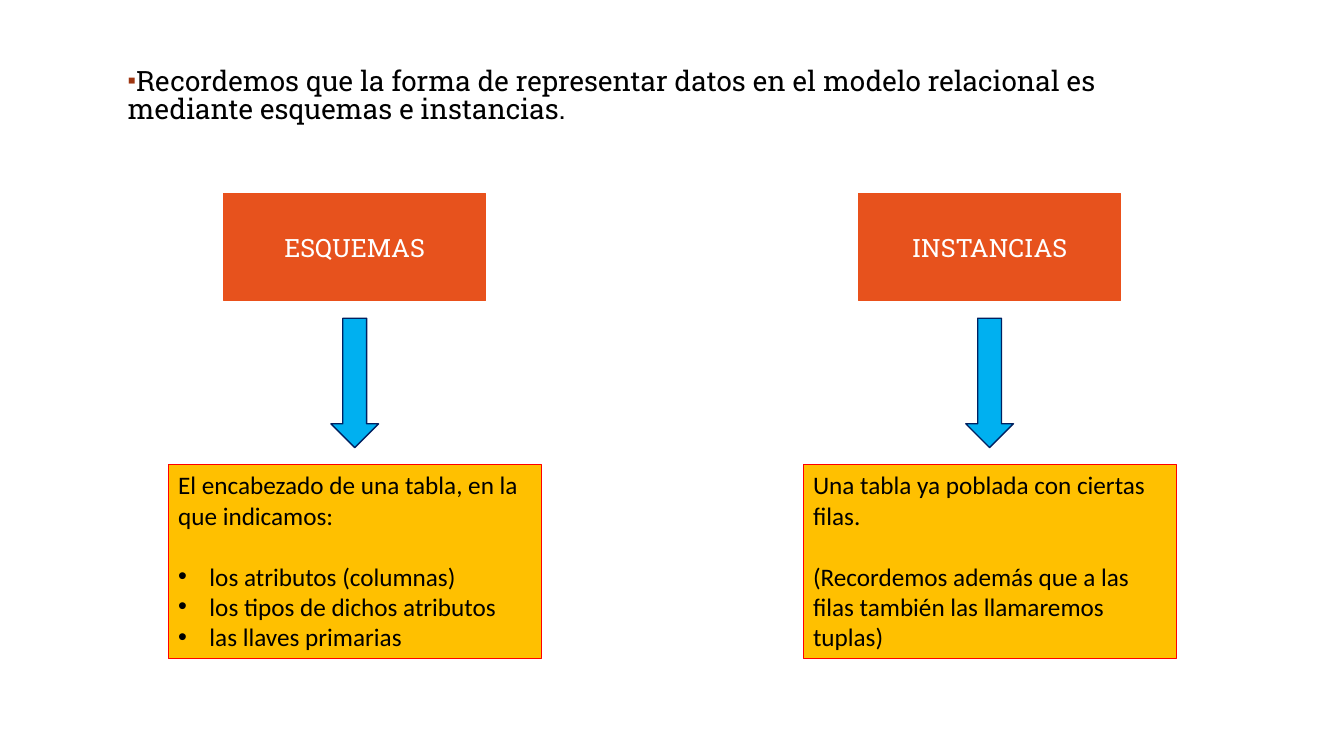
from lxml import etree
from pptx import Presentation
from pptx.dml.color import RGBColor
from pptx.enum.shapes import MSO_SHAPE
from pptx.enum.text import MSO_ANCHOR, PP_ALIGN
from pptx.oxml.ns import qn
from pptx.util import Cm, Pt

RECTANGLE, DOWN_ARROW = MSO_SHAPE.RECTANGLE, MSO_SHAPE.DOWN_ARROW
TOP, MIDDLE = MSO_ANCHOR.TOP, MSO_ANCHOR.MIDDLE
LEFT, CENTER = PP_ALIGN.LEFT, PP_ALIGN.CENTER

BLACK, WHITE = RGBColor(0, 0, 0), RGBColor(255, 255, 255)
ORANGE, ORANGE_EDGE = RGBColor(0xE7, 0x52, 0x1D), RGBColor(0xEA, 0x50, 0x1A)
BLUE, NAVY = RGBColor(0, 0xB0, 0xF0), RGBColor(0, 0x20, 0x60)
AMBER, RED = RGBColor(0xFF, 0xC0, 0), RGBColor(0xFF, 0, 0)
RUST = "9E3611"
SLAB, SANS = "Roboto Slab", "Calibri"

# Content
INTRO = ("Recordemos que la forma de representar datos en el modelo relacional "
         "es mediante esquemas e instancias.")
# heading, lead sentence, following paragraphs, whether those are bulleted
CONCEPTS = [
    ("ESQUEMAS", "El encabezado de una tabla, en la que indicamos:",
     ["los atributos (columnas)", "los tipos de dichos atributos",
      "las llaves primarias"], True),
    ("INSTANCIAS", "Una tabla ya poblada con ciertas filas.",
     ["(Recordemos además que a las filas también las llamaremos tuplas)"], False),
]

# Layout: each column is centred on its own axis
FIRST_AXIS, AXIS_STEP = Cm(8.94), Cm(16)
HEADING = (Cm(4.88), Cm(6.6), Cm(2.7))  # top, width, height
ARROW = (Cm(8.02), Cm(1.2), Cm(3.26))
DETAIL = (Cm(11.71), Cm(9.4), Cm(4.88))
BLANK_LINE = Pt(22)

presentation = Presentation()
presentation.slide_width, presentation.slide_height = Cm(33.87), Cm(19.05)
slide = presentation.slides.add_slide(presentation.slide_layouts[6])


def add_centred(kind, axis, place, fill, edge, edge_width):
    top, width, height = place
    shape = slide.shapes.add_shape(kind, axis - width // 2, top, width, height)
    shape.shadow.inherit = False
    shape.fill.solid()
    shape.fill.fore_color.rgb = fill
    shape.line.color.rgb = edge
    shape.line.width = Pt(edge_width)
    return shape


def write(shape, lines, font, size, color, align=LEFT, anchor=TOP):
    frame = shape.text_frame
    frame.word_wrap = True
    frame.vertical_anchor = anchor
    frame.text = "\n".join(lines)
    for paragraph in frame.paragraphs:
        paragraph.alignment = align
        for run in paragraph.runs:
            run.font.name = font
            run.font.size = Pt(size)
            run.font.color.rgb = color
    return frame.paragraphs


def add_bullet(paragraph, char, margin, indent, color=None, percent=100):
    properties = paragraph._p.get_or_add_pPr()
    properties.set("marL", str(margin))
    properties.set("indent", str(indent))
    if color:
        holder = etree.SubElement(properties, qn("a:buClr"))
        etree.SubElement(holder, qn("a:srgbClr"), val=color)
    etree.SubElement(properties, qn("a:buSzPct"), val=str(percent * 1000))
    etree.SubElement(properties, qn("a:buFont"), typeface="Arial")
    etree.SubElement(properties, qn("a:buChar"), char=char)


# Introduction
intro = slide.shapes.add_textbox(Cm(2.97), Cm(1.6), Cm(27.94), Cm(1.9))
intro_line = write(intro, [INTRO], SLAB, 20, BLACK)[0]
intro_line.line_spacing = 0.85
add_bullet(intro_line, "▪", 0, -Cm(0.5), RUST, 85)

# One column per concept: heading, arrow, detail
for column, (title, lead, points, bulleted) in enumerate(CONCEPTS):
    axis = FIRST_AXIS + column * AXIS_STEP
    heading = add_centred(RECTANGLE, axis, HEADING, ORANGE, ORANGE_EDGE, 1)
    write(heading, [title], SLAB, 18, WHITE, CENTER, MIDDLE)
    add_centred(DOWN_ARROW, axis, ARROW, BLUE, NAVY, 1)
    detail = add_centred(RECTANGLE, axis, DETAIL, AMBER, RED, 0.75)
    paragraphs = write(detail, [lead, *points], SANS, 18, BLACK)
    paragraphs[1].space_before = BLANK_LINE
    if bulleted:
        for point in paragraphs[1:]:
            add_bullet(point, "•", Cm(0.79), -Cm(0.79))

presentation.save("out.pptx")
